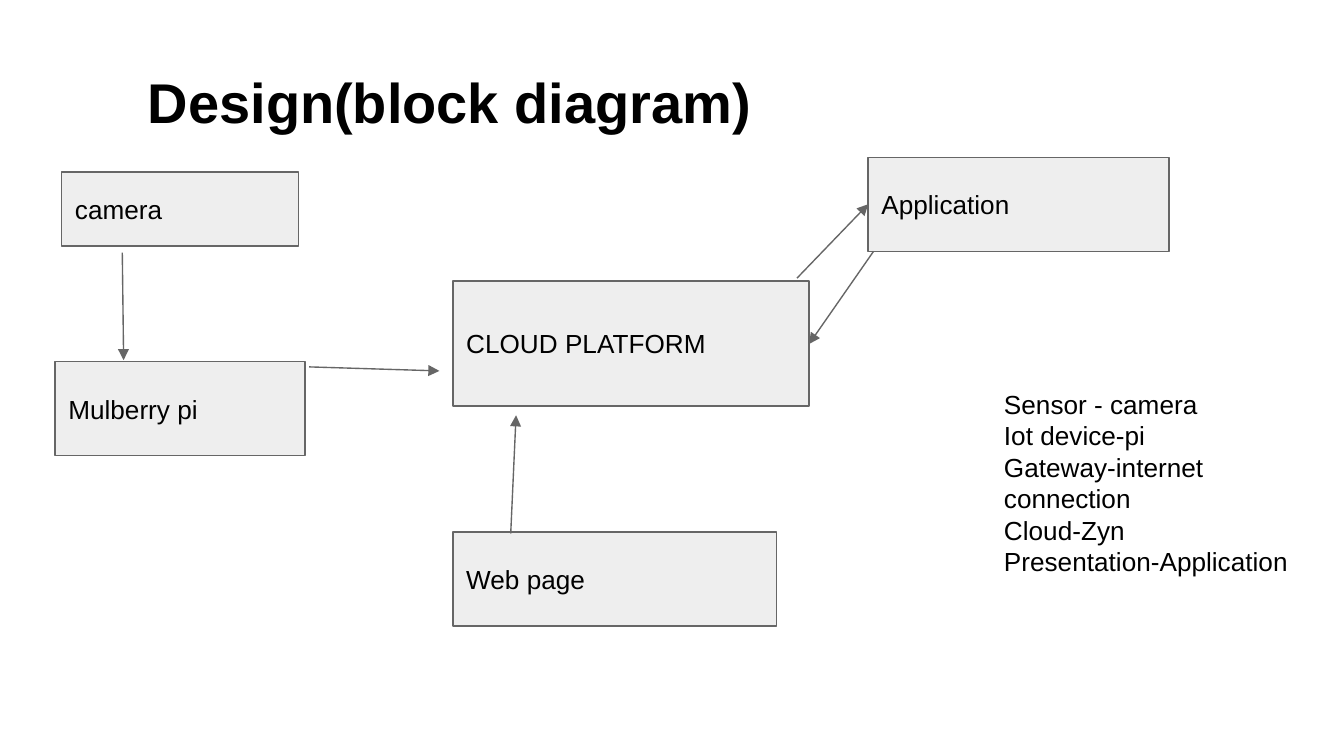
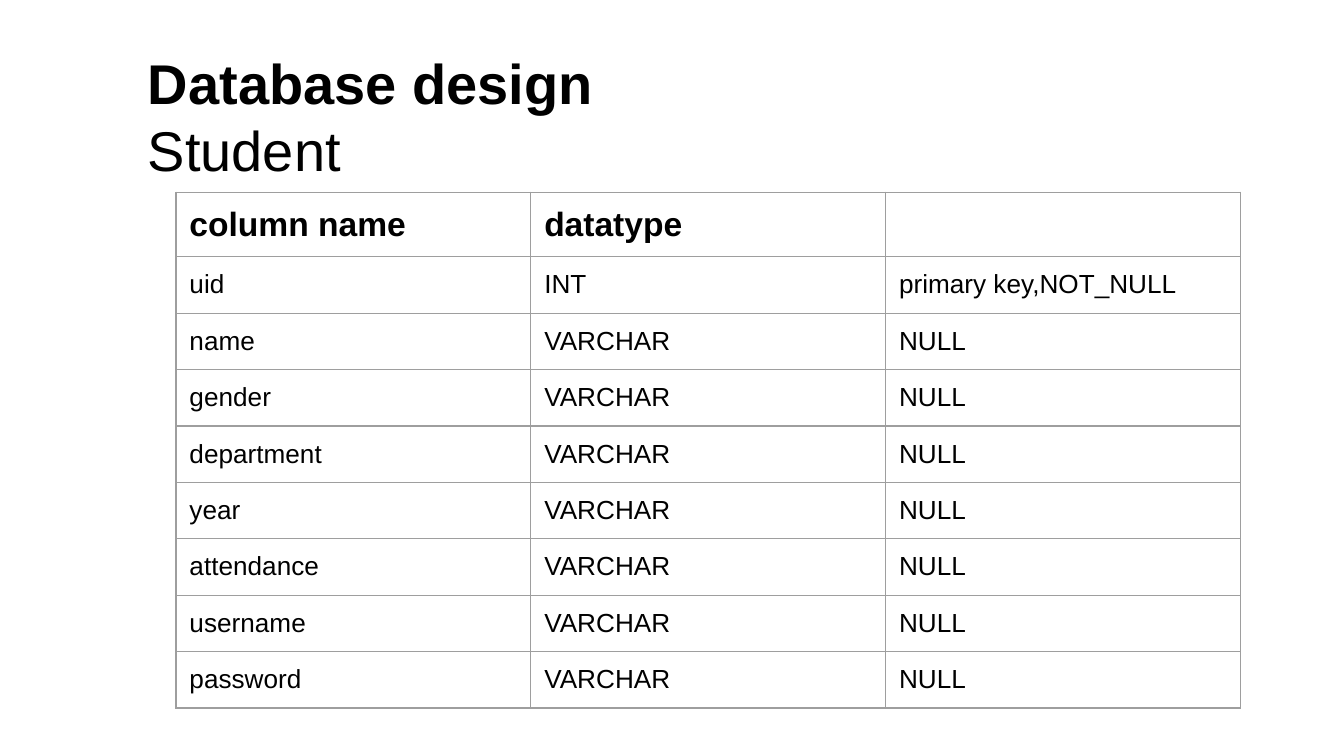
from collections import namedtuple

from lxml.etree import SubElement
from pptx import Presentation
from pptx.dml.color import RGBColor
from pptx.enum.shapes import MSO_CONNECTOR, MSO_SHAPE
from pptx.enum.text import MSO_ANCHOR, MSO_AUTO_SIZE, PP_ALIGN
from pptx.oxml.ns import qn
from pptx.util import Inches, Pt

# Shared look
BLACK = RGBColor(0x00, 0x00, 0x00)
BLOCK_FILL = RGBColor(0xEE, 0xEE, 0xEE)
BLOCK_LINE = RGBColor(0x66, 0x66, 0x66)
GRID_LINE = RGBColor(0x9E, 0x9E, 0x9E)
FONT = "Arial"
TITLE_SIZE, HEADER_SIZE, TEXT_SIZE = 30, 18, 14
LINE_WIDTH = Pt(0.75)
INSET = Inches(0.1)
TITLE_AND_BODY, TITLE_ONLY = 1, 5

Box = namedtuple("Box", "left top width height")

# Diagram parts, measured from the diagram's corner
PROCESS, RECT = MSO_SHAPE.FLOWCHART_PROCESS, MSO_SHAPE.RECTANGLE
BLOCKS = [
    ("CLOUD PLATFORM", PROCESS, Box(2.96, 0.92, 2.65, 0.93)),
    ("Mulberry pi", RECT, Box(0, 1.52, 1.86, 0.7)),
    ("Web page", RECT, Box(2.96, 2.79, 2.41, 0.7)),
    ("Application", RECT, Box(6.05, 0, 2.24, 0.7)),
    ("camera", RECT, Box(0.05, 0.11, 1.76, 0.55)),
]
ARROWS = [
    ((1.89, 1.56), (2.86, 1.59)),  # pi to cloud
    ((5.52, 0.9), (6.05, 0.35)),  # cloud to application
    ((6.09, 0.7), (5.61, 1.39)),  # application to cloud
    ((3.39, 2.8), (3.43, 1.92)),  # web page to cloud
    ((0.5, 0.71), (0.51, 1.51)),  # camera to pi
]
LAYERS = [
    "Sensor - camera",
    "Iot device-pi",
    "Gateway-internet connection",
    "Cloud-Zyn",
    "Presentation-Application",
]

# Table rows
HEADER = ("column name", "datatype", "")
TEXT_FIELDS = ["name", "gender", "department", "year",
               "attendance", "username", "password"]
STUDENT_ROWS = [HEADER, ("uid", "INT", "primary key,NOT_NULL")]
STUDENT_ROWS += [(field, "VARCHAR", "NULL") for field in TEXT_FIELDS]


def inches(*values):
    return [Inches(value) for value in values]


def write(para, text, size=TEXT_SIZE, bold=False):
    """Add one formatted span to a left-aligned paragraph."""
    para.alignment = PP_ALIGN.LEFT
    para.line_spacing = 1.0
    para.space_before = para.space_after = Pt(0)
    span = para.add_run()
    span.text = text
    span.font.name = FONT
    span.font.size = Pt(size)
    span.font.bold = bold
    span.font.color.rgb = BLACK


def set_frame(frame, anchor):
    frame.word_wrap = True
    frame.auto_size = MSO_AUTO_SIZE.NONE
    frame.vertical_anchor = anchor
    frame.margin_left = frame.margin_right = INSET
    frame.margin_top = frame.margin_bottom = INSET


def fill_placeholder(holder, box, lines, **style):
    """Move a placeholder and write one paragraph for each line."""
    holder.left, holder.top, holder.width, holder.height = inches(*box)
    frame = holder.text_frame
    set_frame(frame, MSO_ANCHOR.TOP)
    for index, line in enumerate(lines):
        para = frame.add_paragraph() if index else frame.paragraphs[0]
        write(para, line, **style)
    return frame


def add_title(page, box, title, subtitle=None):
    frame = fill_placeholder(page.shapes.title, box, [title],
                             size=TITLE_SIZE, bold=True)
    if subtitle:
        write(frame.add_paragraph(), subtitle, size=TITLE_SIZE)


def add_list(page, box, lines):
    frame = fill_placeholder(page.placeholders[1], box, lines)
    for para in frame.paragraphs:
        props = para._p.get_or_add_pPr()
        props.set("marL", "0")
        props.set("indent", "0")
        SubElement(props, qn("a:buNone"))


def add_block(page, box, text, kind):
    block = page.shapes.add_shape(kind, *inches(*box))
    block.shadow.inherit = False
    block.fill.solid()
    block.fill.fore_color.rgb = BLOCK_FILL
    block.line.color.rgb = BLOCK_LINE
    block.line.width = LINE_WIDTH
    set_frame(block.text_frame, MSO_ANCHOR.MIDDLE)
    write(block.text_frame.paragraphs[0], text)


def add_arrow(page, start, end):
    arrow = page.shapes.add_connector(MSO_CONNECTOR.STRAIGHT,
                                      *inches(*start, *end))
    arrow.line.color.rgb = BLOCK_LINE
    arrow.line.width = LINE_WIDTH
    props = arrow.element.spPr
    SubElement(props.find(qn("a:ln")), qn("a:tailEnd"), type="triangle")
    SubElement(props, qn("a:effectLst"))


def add_diagram(page, box):
    def shift(x, y):
        return box.left + x, box.top + y

    for text, kind, part in BLOCKS:
        place = Box(*shift(part.left, part.top), part.width, part.height)
        add_block(page, place, text, kind)
    for start, end in ARROWS:
        add_arrow(page, shift(*start), shift(*end))


def set_borders(cell):
    props = cell._tc.get_or_add_tcPr()
    for side in ("lnL", "lnR", "lnT", "lnB"):
        line = SubElement(props, qn(f"a:{side}"), w=str(int(LINE_WIDTH)))
        fill = SubElement(line, qn("a:solidFill"))
        SubElement(fill, qn("a:srgbClr"), val=str(GRID_LINE))


def add_grid(page, box, rows):
    """Draw a plain ruled table with a bold first row."""
    frame = page.shapes.add_table(len(rows), len(rows[0]), *inches(*box))
    table = frame.table
    table.first_row = table.horz_banding = False
    for row in table.rows:
        row.height = Inches(0.42)
    for r, row in enumerate(rows):
        style = {"size": TEXT_SIZE if r else HEADER_SIZE, "bold": r == 0}
        for c, text in enumerate(row):
            cell = table.cell(r, c)
            cell.margin_left = cell.margin_right = INSET
            cell.margin_top = cell.margin_bottom = INSET
            set_borders(cell)
            cell.fill.background()
            para = cell.text_frame.paragraphs[0]
            if text:
                write(para, text, **style)
            else:
                # Keep the empty cell from stretching its row
                SubElement(para._p, qn("a:endParaRPr"),
                           sz=str(TEXT_SIZE * 100))


def diagram_slide(deck):
    page = deck.slides.add_slide(deck.slide_layouts[TITLE_AND_BODY])
    add_title(page, Box(1, 0.4, 8, 0.93), "Design(block diagram)")
    add_diagram(page, Box(0.41, 1.17, 8.29, 3.49))
    add_list(page, Box(7.37, 2.79, 2.37, 2.42), LAYERS)


def database_slide(deck):
    page = deck.slides.add_slide(deck.slide_layouts[TITLE_ONLY])
    add_grid(page, Box(1.31, 1.43, 7.92, 3.78), STUDENT_ROWS)
    add_title(page, Box(1, 0.26, 8, 0.93), "Database design", "Student")


def main():
    deck = Presentation()
    deck.slide_width = Inches(10)
    deck.slide_height = deck.slide_width * 9 // 16
    diagram_slide(deck)
    database_slide(deck)
    deck.save("out.pptx")


if __name__ == "__main__":
    main()
